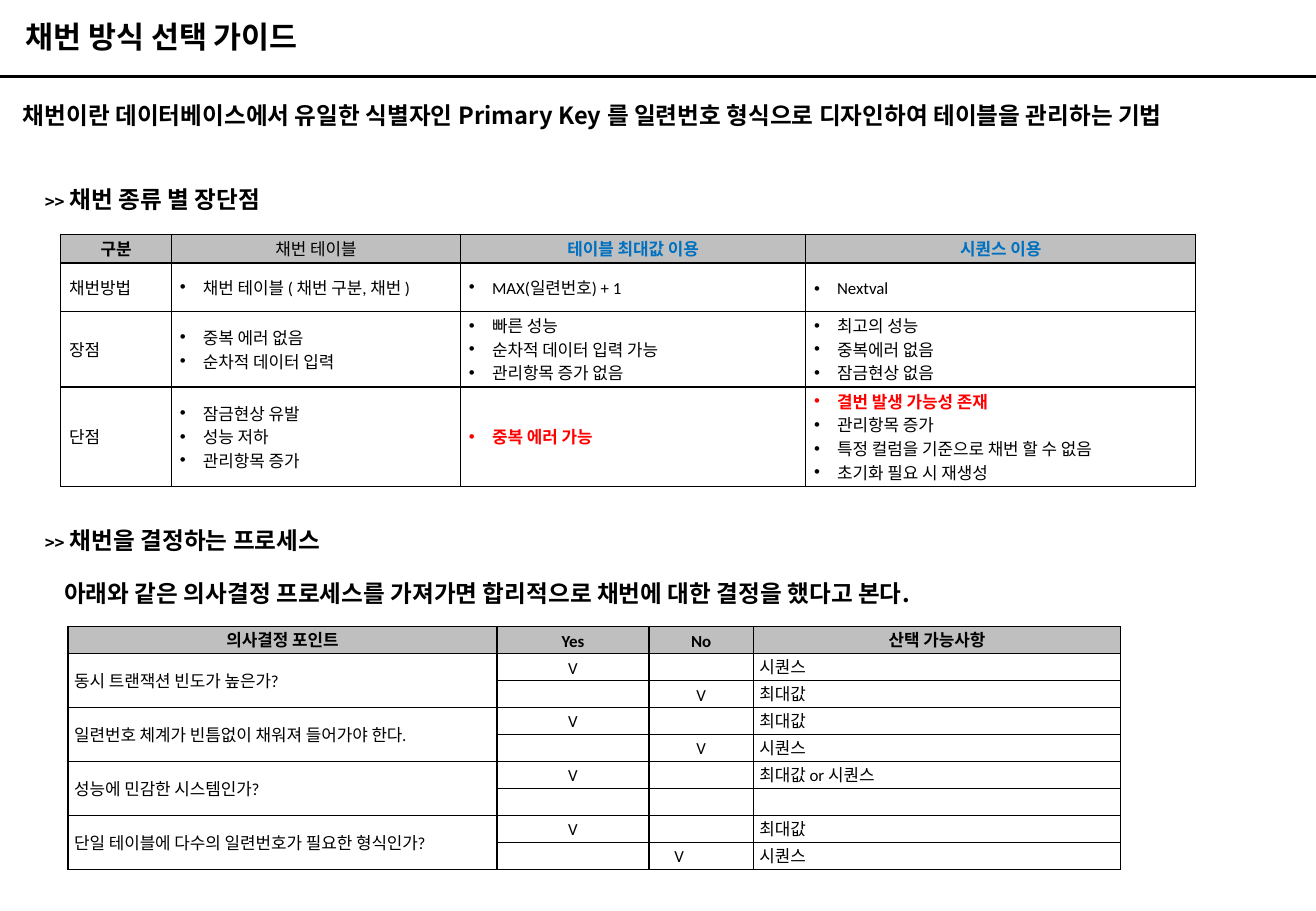
from lxml import etree
from pptx import Presentation
from pptx import util as u
from pptx.dml.color import RGBColor
from pptx.enum import shapes, text
from pptx.oxml import ns

COLORS = {"ink": "000000", "blue": "0070C0", "red": "FF0000",
          "header": "BFBFBF", "paper": "FFFFFF"}
KOREAN, LATIN = "Noto Sans CJK KR", "Calibri"
TABLE_GRID_STYLE = "{5940675A-B579-460E-94D1-54222C63F5DA}"
LEFT, CENTER = text.PP_ALIGN.LEFT, text.PP_ALIGN.CENTER
TOP, MIDDLE = text.MSO_ANCHOR.TOP, text.MSO_ANCHOR.MIDDLE

LEAD = "채번이란 데이터베이스에서 유일한 식별자인 Primary Key 를 일련번호 형식으로 디자인하여 테이블을 관리하는 기법"
ADVICE = "아래와 같은 의사결정 프로세스를 가져가면 합리적으로 채번에 대한 결정을 했다고 본다."

METHOD_HEADERS = [("구분", {}), ("채번 테이블", {"bold": False}),
                  ("테이블 최대값 이용", {"color": "blue"}),
                  ("시퀀스 이용", {"color": "blue"})]
METHODS = [
    ("채번방법", ["채번 테이블 ( 채번 구분, 채번 )"], ["MAX(일련번호) + 1"], ["Nextval"]),
    ("장점", ["중복 에러 없음", "순차적 데이터 입력"],
     ["빠른 성능", "순차적 데이터 입력 가능", "관리항목 증가 없음"],
     ["최고의 성능", "중복에러 없음", "잠금현상 없음"]),
    ("단점", ["잠금현상 유발", "성능 저하", "관리항목 증가"], ["중복 에러 가능"],
     ["결번 발생 가능성 존재", "관리항목 증가", "특정 컬럼을 기준으로 채번 할 수 없음",
      "초기화 필요 시 재생성"]),
]
WARNINGS = {"중복 에러 가능", "결번 발생 가능성 존재"}

DECISION_HEADERS = ["의사결정 포인트", "Yes", "No", "산택 가능사항"]
# Question, choice when yes, choice when no
DECISIONS = [
    ("동시 트랜잭션 빈도가 높은가?", "시퀀스", "최대값"),
    ("일련번호 체계가 빈틈없이 채워져 들어가야 한다.", "최대값", "시퀀스"),
    ("성능에 민감한 시스템인가?", "최대값 or 시퀀스", ""),
    ("단일 테이블에 다수의 일련번호가 필요한 형식인가?", "최대값", "시퀀스"),
]


def add_text(p, content, size=10, font=LATIN, color="ink", bold=False):
    r = p.add_run()
    r.text = content
    r.font.size, r.font.name, r.font.bold = u.Pt(size), font, bold
    r.font.color.rgb = RGBColor.from_string(COLORS[color])
    rPr = r.font._element
    rPr.set("kern", "0")
    etree.SubElement(rPr, ns.qn("a:ea")).set("typeface", KOREAN)


def add_line(slide, x1, x2, y):
    line = slide.shapes.add_connector(
        shapes.MSO_CONNECTOR.STRAIGHT, *map(u.Inches, (x1, y, x2, y)))
    line.line.width = u.Pt(2.25)
    line.line.color.rgb = RGBColor.from_string(COLORS["ink"])
    etree.SubElement(line._element.spPr, ns.qn("a:effectLst"))


def add_title(slide, left, top, width, height):
    sp = slide.shapes.title
    sp.left, sp.top, sp.width, sp.height = map(u.Inches, (left, top, width, height))
    tf = sp.text_frame
    tf.vertical_anchor, tf.auto_size = TOP, text.MSO_AUTO_SIZE.SHAPE_TO_FIT_TEXT
    tf.paragraphs[0].alignment = LEFT
    add_text(tf.paragraphs[0], "채번 방식 선택 가이드", size=18, font=KOREAN, bold=True)


def add_heading(slide, left, top, content, marker=""):
    sp = slide.shapes.add_textbox(*map(u.Inches, (left, top, 10.29, 0.34)))
    tf = sp.text_frame
    tf.word_wrap, tf.auto_size = True, text.MSO_AUTO_SIZE.SHAPE_TO_FIT_TEXT
    p = tf.paragraphs[0]
    if marker:
        add_text(p, marker, font=KOREAN, bold=True)
        content = " " + content
    add_text(p, content, size=14, font=KOREAN, bold=True)


def add_bullet(p):
    pPr = p._p.get_or_add_pPr()
    pPr.set("marL", str(u.Inches(0.19)))
    pPr.set("indent", str(-u.Inches(0.19)))
    etree.SubElement(pPr, ns.qn("a:buFont")).set("typeface", "Arial")
    etree.SubElement(pPr, ns.qn("a:buChar")).set("char", "•")


def add_borders(cell):
    tcPr = cell._tc.get_or_add_tcPr()
    for side in ("lnL", "lnR", "lnT", "lnB"):
        ln = etree.SubElement(tcPr, ns.qn("a:" + side))
        ln.set("w", str(u.Pt(1)))
        fill = etree.SubElement(ln, ns.qn("a:solidFill"))
        etree.SubElement(fill, ns.qn("a:srgbClr")).set("val", COLORS["ink"])


def add_grid(slide, left, top, widths, heights, inset_x, inset_y):
    """Add an unfilled, bordered table with the given column and row sizes."""
    box = map(u.Inches, (left, top, sum(widths), sum(heights)))
    table = slide.shapes.add_table(len(heights), len(widths), *box).table
    table._tbl.tblPr.find(ns.qn("a:tableStyleId")).text = TABLE_GRID_STYLE
    table.horz_banding = False
    for column, width in zip(table.columns, widths):
        column.width = u.Inches(width)
    for row, height in zip(table.rows, heights):
        row.height = u.Inches(height)
    for cell in table.iter_cells():
        cell.margin_left = cell.margin_right = u.Inches(inset_x)
        cell.margin_top = cell.margin_bottom = u.Inches(inset_y)
        add_borders(cell)
        cell.fill.background()
        p = cell.text_frame.paragraphs[0]
        p.line_spacing = u.Pt(14)
        # Keeps empty cells from growing to the default 18 pt
        etree.SubElement(p._p, ns.qn("a:endParaRPr")).set("sz", "1000")
    return table


def fill_cell(cell, lines, fill=None, align=LEFT, anchor=TOP, bullets=False, **fmt):
    cell.vertical_anchor = anchor
    if fill:
        cell.fill.solid()
        cell.fill.fore_color.rgb = RGBColor.from_string(COLORS[fill])
    tf = cell.text_frame
    for i, content in enumerate(lines):
        p = tf.add_paragraph() if i else tf.paragraphs[0]
        p.alignment, p.line_spacing = align, u.Pt(14)
        if bullets:
            add_bullet(p)
        warning = {"color": "red", "bold": True} if content in WARNINGS else {}
        add_text(p, content, **{**fmt, **warning})


def add_method_table(slide, left, top):
    table = add_grid(slide, left, top, [0.91, 2.38, 2.84, 3.21],
                     [0.23, 0.4, 0.61, 0.81], 0.07, 0.02)
    for col, (label, fmt) in enumerate(METHOD_HEADERS):
        fill_cell(table.cell(0, col), [label], fill="header", align=CENTER,
                  anchor=MIDDLE, **{"bold": True, **fmt})
    for row, (label, *points) in enumerate(METHODS, 1):
        fill_cell(table.cell(row, 0), [label], fill="paper", anchor=MIDDLE)
        for col, lines in enumerate(points, 1):
            fill_cell(table.cell(row, col), lines, fill="paper", anchor=MIDDLE,
                      bullets=True)


def add_decision_table(slide, left, top):
    rows = 1 + 2 * len(DECISIONS)
    table = add_grid(slide, left, top, [3.53, 1.25, 0.86, 3.02],
                     [2 / rows] * rows, 0.05, 0.01)
    for col, label in enumerate(DECISION_HEADERS):
        fill_cell(table.cell(0, col), [label], fill="header", align=CENTER, bold=True)
    for i, (question, *choices) in enumerate(DECISIONS):
        first = 1 + 2 * i
        table.cell(first, 0).merge(table.cell(first + 1, 0))
        fill_cell(table.cell(first, 0), [question], anchor=MIDDLE)
        for answer, choice in enumerate(choices):
            if choice:
                fill_cell(table.cell(first + answer, 1 + answer), ["V"], align=CENTER)
                fill_cell(table.cell(first + answer, 3), [choice])
    last_mark = table.cell(rows - 1, 2).text_frame.paragraphs[0]
    last_mark.alignment = LEFT
    last_mark._p.get_or_add_pPr().set("marL", str(u.Inches(0.16)))


def main():
    prs = Presentation()
    prs.slide_width, prs.slide_height = u.Inches(10.83), u.Inches(7.5)
    slide = prs.slides.add_slide(prs.slide_layouts[5])
    add_line(slide, 0, 10.83, 0.63)
    add_title(slide, 0.11, 0.1, 6.3, 0.4)
    add_heading(slide, 0.09, 0.78, LEAD)
    add_heading(slide, 0.27, 1.47, "채번 종류 별 장단점", marker=">>")
    add_method_table(slide, 0.5, 1.93)
    add_heading(slide, 0.27, 4.28, "채번을 결정하는 프로세스", marker=">>")
    add_heading(slide, 0.43, 4.72, ADVICE)
    add_decision_table(slide, 0.56, 5.16)
    prs.save("out.pptx")


if __name__ == "__main__":
    main()
